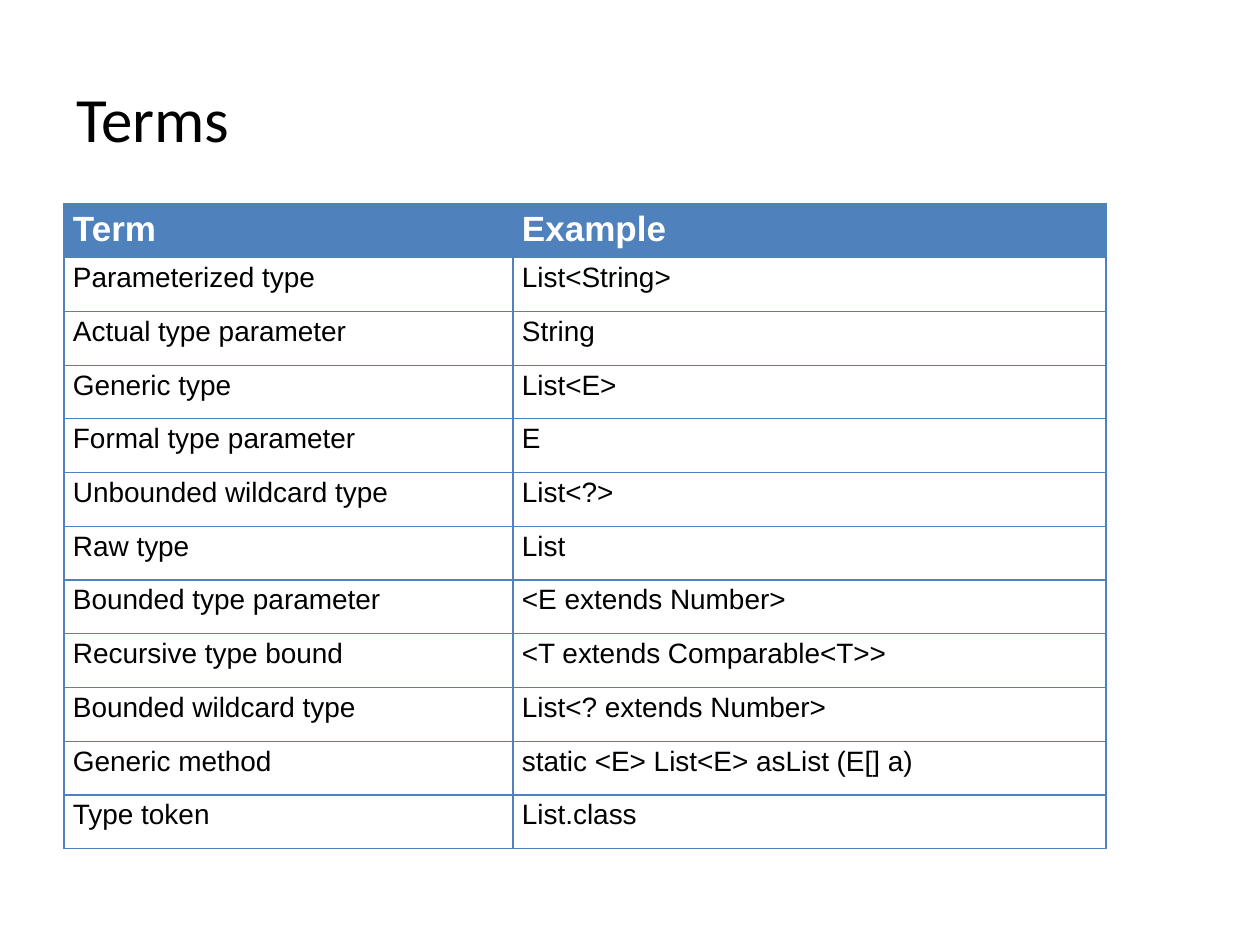
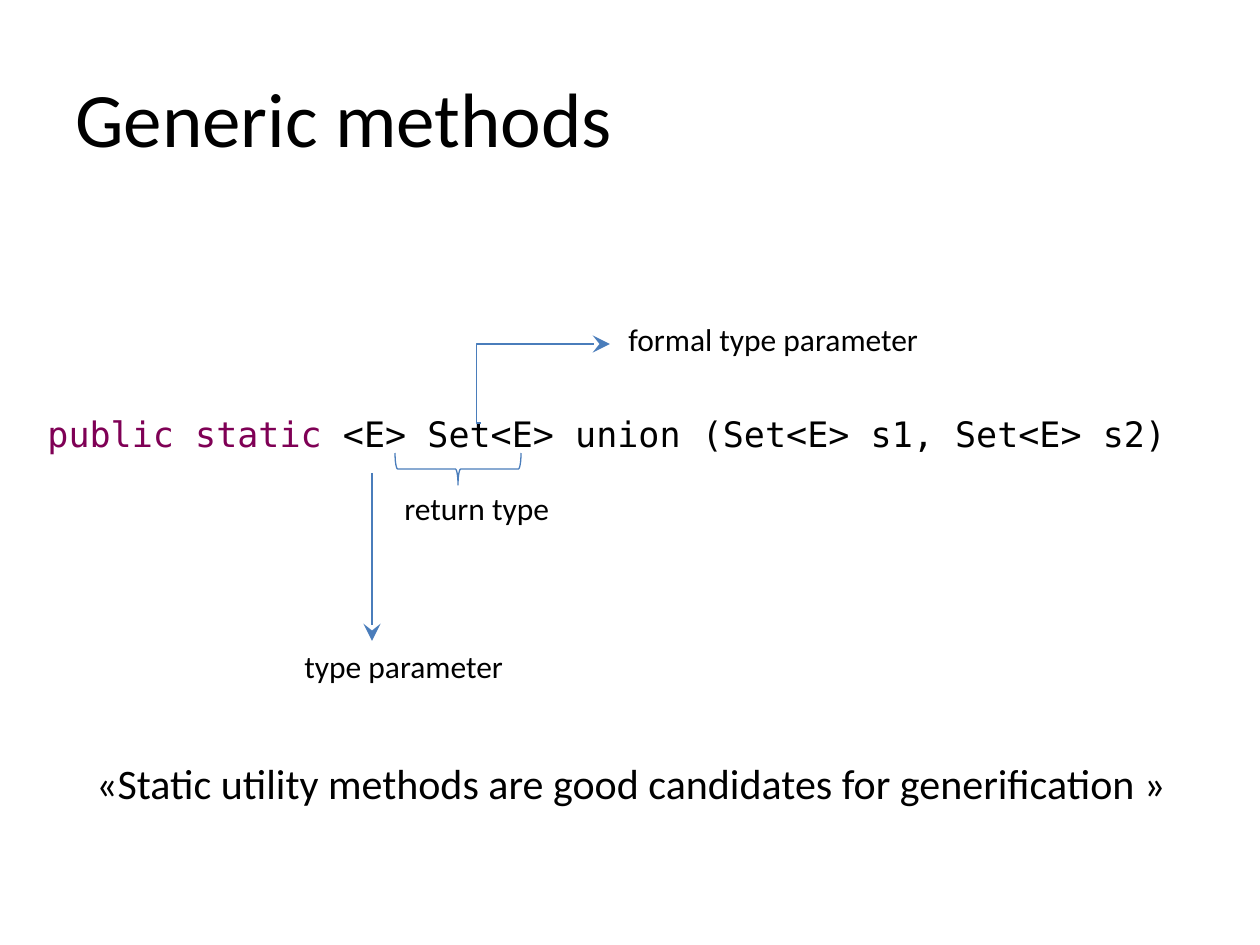
from lxml import etree
from pptx import Presentation, util as u
from pptx.dml.color import RGBColor
from pptx.enum import shapes, text
from pptx.oxml import ns

PX = 914400 / 126
INK = {"text": "000000", "head": "FFFFFF", "table": "4F81BD", "line": "4A7DBB", "key": "7F0055"}
SANS, MONO, GRID = "Calibri", "DejaVu Sans Mono", "Arial"
TERMS = [
    ("Term", "Example"),
    ("Parameterized type", "List<String>"),
    ("Actual type parameter", "String"),
    ("Generic type", "List<E>"),
    ("Formal type parameter", "E"),
    ("Unbounded wildcard type", "List<?>"),
    ("Raw type", "List"),
    ("Bounded type parameter", "<E extends Number>"),
    ("Recursive type bound", "<T extends Comparable<T>>"),
    ("Bounded wildcard type", "List<? extends Number>"),
    ("Generic method", "static <E> List<E> asList (E[] a)"),
    ("Type token", "List.class"),
]


def px(n):
    """Turn pixels into EMU."""
    return u.Emu(round(n * PX))


def tint(name):
    """Look up a colour."""
    return RGBColor.from_string(INK[name])


def sub(node, tag, **attrs):
    """Add an XML child with attributes."""
    kid = etree.SubElement(node, ns.qn(tag))
    for key, val in attrs.items():
        kid.set(key, val)
    return kid


def run(para, words, size, font=SANS, ink="text", bold=False):
    """Add one styled run."""
    part = para.add_run()
    part.text = words
    face = part.font
    face.size, face.name, face.bold = u.Pt(size), font, bold
    face.color.rgb = tint(ink)


def frame(slide, box, mid=False):
    """Add a wrapping text box and return its frame."""
    area = slide.shapes.add_textbox(*map(px, box)).text_frame
    area.word_wrap = True
    area.vertical_anchor = text.MSO_ANCHOR.MIDDLE if mid else text.MSO_ANCHOR.TOP
    return area


def label(slide, box, words, size=18, mid=False):
    """Add a one-line text."""
    run(frame(slide, box, mid).paragraphs[0], words, size)


def edge(cell):
    """Draw the four borders of a cell."""
    props = cell._tc.get_or_add_tcPr()
    for i, side in enumerate("LRTB"):
        line = sub(props, "a:ln" + side, w=str(u.Pt(0.75)))
        sub(sub(line, "a:solidFill"), "a:srgbClr", val=INK["table"])
        props.insert(i, line)


def fill_cell(cell, words, head):
    """Style and fill one table cell."""
    cell.margin_left = cell.margin_right = px(9)
    cell.margin_top = cell.margin_bottom = 0
    if head:
        cell.fill.solid()
        cell.fill.fore_color.rgb = tint("table")
    else:
        cell.fill.background()
    edge(cell)
    para = cell.text_frame.paragraphs[0]
    para.line_spacing = 1.15
    run(para, words, 20 if head else 16, GRID, "head" if head else "text", head)


def grid(slide, box, rows, share):
    """Draw the table of terms in a box, with a first column of the given width."""
    x, y, w, h = box
    table = slide.shapes.add_table(len(rows), 2, *map(px, box)).table
    table.horz_banding = False
    for col, wide in zip(table.columns, (share, w - share)):
        col.width = px(wide)
    for r, pair in enumerate(rows):
        table.rows[r].height = px(h / len(rows))
        for c, words in enumerate(pair):
            fill_cell(table.cell(r, c), words, r == 0)


def arrow(slide, kind, start, end, bend=None):
    """Draw a connector with a stealth head."""
    link = slide.shapes.add_connector(kind, *map(px, start + end))
    link.line.color.rgb = tint("line")
    link.line.width = u.Pt(0.75)
    sub(link.line._get_or_add_ln(), "a:tailEnd", type="stealth", w="lg", len="lg")
    props = link._element.spPr
    sub(props, "a:effectLst")
    if bend is not None:
        shape = props.find(ns.qn("a:prstGeom"))
        sub(shape.find(ns.qn("a:avLst")), "a:gd", name="adj1", fmla=f"val {bend}")


def brace(slide, box):
    """Draw a brace that opens upwards."""
    x, y, w, h = box
    spot = (x + (w - h) / 2, y + (h - w) / 2, h, w)
    mark = slide.shapes.add_shape(shapes.MSO_SHAPE.RIGHT_BRACE, *map(px, spot))
    mark.rotation = 90
    mark.shadow.inherit = False
    mark.fill.background()
    mark.line.color.rgb = tint("line")
    mark.line.width = u.Pt(0.75)


def body(slide, box):
    """Write the signature and the quotation below it."""
    area = frame(slide, box)
    area.margin_top = px(205)
    code = area.paragraphs[0]
    run(code, "public static", 20, MONO, "key")
    run(code, " <E> Set<E> union (Set<E> s1, Set<E> s2)", 20, MONO)
    quote = area.add_paragraph()
    quote.alignment = text.PP_ALIGN.CENTER
    quote.space_before = px(303)
    quote._p.get_or_add_pPr().set("marL", str(px(28)))
    run(quote, "«Static utility methods are good candidates for generification »", 24)


def notes(slide, box):
    """Mark the parts of the signature within a box."""
    x, y, w, h = box
    arrow(slide, shapes.MSO_CONNECTOR.ELBOW, (x + 189, y + 109), (x + 318, y + 30), -3500)
    arrow(slide, shapes.MSO_CONNECTOR.STRAIGHT, (x + 80, y + 159), (x + 80, y + 327))
    brace(slide, (x + 103, y + 139, 126, 32))
    for left, top, wide, words in (
        (324, 0, 319, "formal type parameter"),
        (100, 169, 171, "return type"),
        (0, 327, 536, "type parameter"),
    ):
        label(slide, (x + left, y + top, wide, 50), words)


def main():
    """Build both slides."""
    deck = Presentation()
    deck.slide_width, deck.slide_height = px(1260), px(945)
    blank = deck.slide_layouts[6]
    terms, ways = (deck.slides.add_slide(blank) for _ in range(2))
    label(terms, (64, 37, 1143, 160), "Terms", 36, True)
    grid(terms, (64, 204, 1042, 645), TERMS, 449)
    label(ways, (63, 38, 1134, 158), "Generic methods", 44, True)
    body(ways, (35, 207, 1164, 659))
    notes(ways, (292, 314, 643, 377))
    deck.save("out.pptx")


main()
